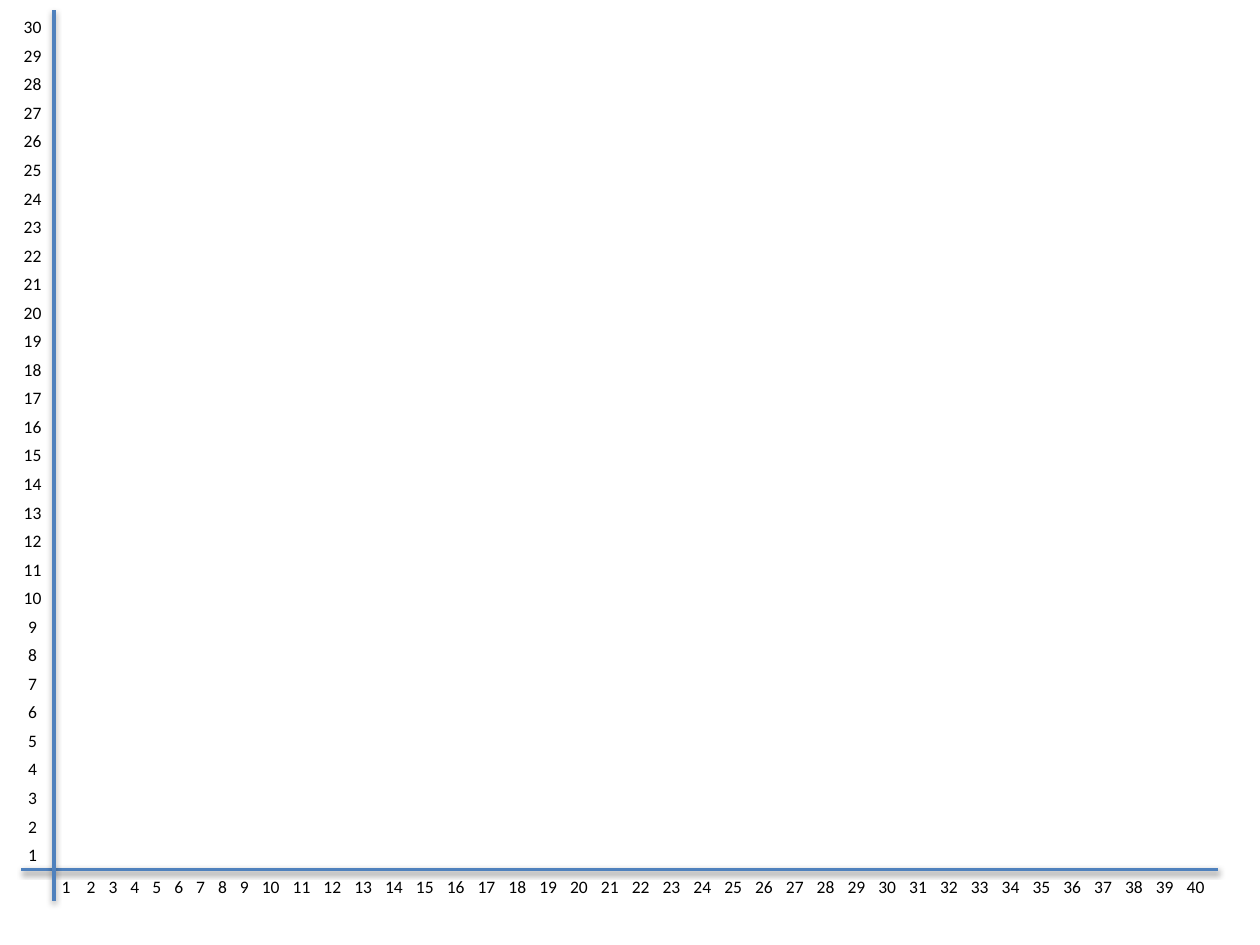
from dataclasses import dataclass

from pptx import Presentation
from pptx.dml.color import RGBColor
from pptx.enum.shapes import MSO_CONNECTOR
from pptx.enum.text import MSO_AUTO_SIZE
from pptx.util import Inches, Pt


@dataclass(frozen=True)
class Theme:
    font: str = "Calibri"
    label_size: float = 10
    line_width: float = 2
    text: RGBColor = RGBColor(0x00, 0x00, 0x00)
    axis: RGBColor = RGBColor(0x4F, 0x81, 0xBD)


@dataclass(frozen=True)
class Box:
    left: float
    top: float
    width: float
    height: float


THEME = Theme()
LABEL_HEIGHT = 0.27
ONE_DIGIT_WIDTH = 0.27
TWO_DIGIT_WIDTH = 0.34


def label_width(number):
    return ONE_DIGIT_WIDTH if number < 10 else TWO_DIGIT_WIDTH


def add_axis_line(slide, start, end):
    """Draw an axis; the connector style supplies its soft shadow."""
    line = slide.shapes.add_connector(
        MSO_CONNECTOR.STRAIGHT, *(Inches(value) for value in start + end))
    line.line.color.rgb = THEME.axis
    line.line.width = Pt(THEME.line_width)


def add_label(slide, number, left, top):
    shape = slide.shapes.add_textbox(
        Inches(left), Inches(top), Inches(label_width(number)), Inches(LABEL_HEIGHT))
    frame = shape.text_frame
    frame.word_wrap = False
    frame.auto_size = MSO_AUTO_SIZE.SHAPE_TO_FIT_TEXT
    paragraph = frame.paragraphs[0]
    paragraph.text = str(number)
    paragraph.font.name = THEME.font
    paragraph.font.size = Pt(THEME.label_size)
    paragraph.font.color.rgb = THEME.text


def add_horizontal_axis(slide, box, last):
    """Line along the top of the box, numbers hanging below it."""
    add_axis_line(slide, (box.left, box.top), (box.left + box.width, box.top))

    # The first number stands apart; each digit count has its own pitch
    first_left = box.left + 0.22
    second_left = box.left + 0.42
    ten_left = box.left + 1.81
    one_digit_step = (ten_left - second_left) / 8
    last_left = box.left + box.width - 0.35
    two_digit_step = (last_left - ten_left) / (last - 10)
    for number in range(1, last + 1):
        if number == 1:
            left = first_left
        elif number < 10:
            left = second_left + (number - 2) * one_digit_step
        else:
            left = ten_left + (number - 10) * two_digit_step
        add_label(slide, number, left, box.top)


def add_vertical_axis(slide, box, last):
    """Line down the right of the box, numbers centred to its left."""
    right = box.left + box.width
    add_axis_line(slide, (right, box.top + box.height), (right, box.top))

    first_top = box.top + box.height - 0.5
    step = (first_top - box.top) / (last - 1)
    for number in range(1, last + 1):
        left = box.left + (TWO_DIGIT_WIDTH - label_width(number)) / 2
        add_label(slide, number, left, first_top - (number - 1) * step)


presentation = Presentation()
presentation.slide_width = Inches(10)
presentation.slide_height = Inches(7.5)
slide = presentation.slides.add_slide(presentation.slide_layouts[6])

add_horizontal_axis(slide, Box(0.17, 6.9, 9.5, LABEL_HEIGHT), last=40)
add_vertical_axis(slide, Box(0.09, 0.08, 0.34, 7.07), last=30)

presentation.save("out.pptx")
